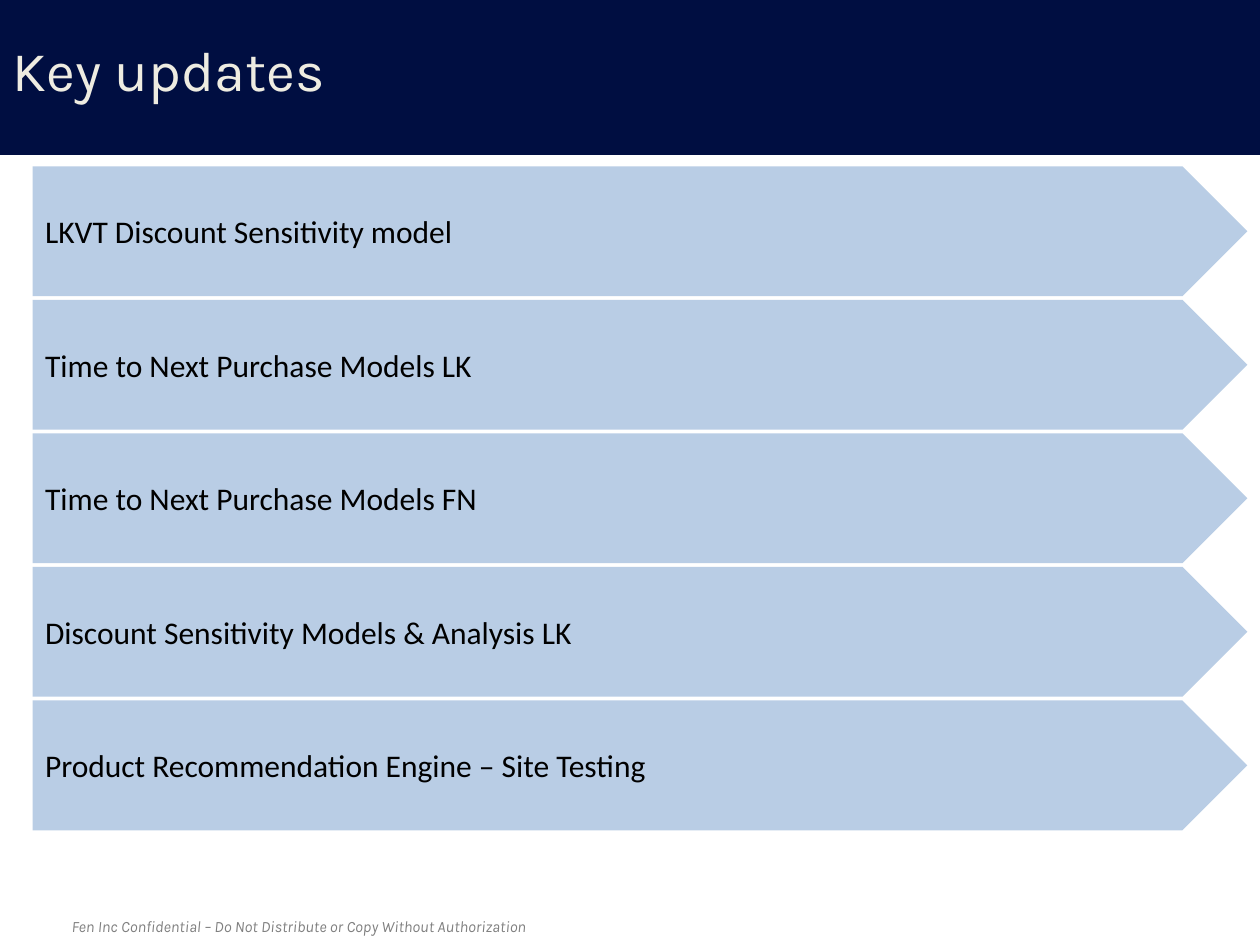
import pptx
import pptx.dml.color
import pptx.enum.shapes
import pptx.enum.text
import pptx.util

SLIDE_WIDTH, SLIDE_HEIGHT = 10, 7.5
ARROW_LEFT, ARROW_TOP, ARROW_WIDTH, ARROW_HEIGHT = 0.26, 1.32, 9.64, 1.03
ROW_PITCH = 1.06
UPDATES = [
    "LKVT Discount Sensitivity model",
    "Time to Next Purchase Models LK",
    "Time to Next Purchase Models FN",
    "Discount Sensitivity Models & Analysis LK",
    "Product Recommendation Engine – Site Testing",
]
TITLE_FORMAT = {"name": "Karla", "size": pptx.util.Pt(32)}
FOOTER_FORMAT = {"name": "Karla", "size": pptx.util.Pt(9), "italic": True}
UPDATE_FORMAT = {"name": "Calibri", "size": pptx.util.Pt(18)}


def color(hex_value):
    """Return the colour for a hex string."""
    return pptx.dml.color.RGBColor.from_string(hex_value)


def inches(*lengths):
    """Convert lengths in inches to slide units."""
    return [pptx.util.Inches(length) for length in lengths]


def write_text(shape, text, font_format, hex_value, anchor):
    """Write one left-aligned formatted paragraph into a shape."""
    frame = shape.text_frame
    frame.word_wrap = True
    frame.vertical_anchor = anchor
    paragraph = frame.paragraphs[0]
    paragraph.alignment = pptx.enum.text.PP_ALIGN.LEFT
    run = paragraph.add_run()
    run.text = text
    for attribute, value in font_format.items():
        setattr(run.font, attribute, value)
    run.font.color.rgb = color(hex_value)


def add_block(slide, kind, box, hex_value):
    """Add a flat filled shape without outline or shadow."""
    shape = slide.shapes.add_shape(kind, *inches(*box))
    shape.shadow.inherit = False
    shape.fill.solid()
    shape.fill.fore_color.rgb = color(hex_value)
    shape.line.fill.background()
    return shape


def add_label(slide, box, text, font_format, hex_value, anchor):
    """Add a text box with one formatted paragraph."""
    label = slide.shapes.add_textbox(*inches(*box))
    write_text(label, text, font_format, hex_value, anchor)


def add_update(slide, row, text):
    """Add the arrow for one update on its row."""
    box = (ARROW_LEFT, ARROW_TOP + row * ROW_PITCH, ARROW_WIDTH, ARROW_HEIGHT)
    arrow = add_block(slide, pptx.enum.shapes.MSO_SHAPE.PENTAGON, box, "B9CDE5")
    write_text(arrow, text, UPDATE_FORMAT, "000000", pptx.enum.text.MSO_ANCHOR.MIDDLE)


def main():
    """Build and save the key updates slide."""
    presentation = pptx.Presentation()
    presentation.slide_width, presentation.slide_height = inches(SLIDE_WIDTH, SLIDE_HEIGHT)
    slide = presentation.slides.add_slide(presentation.slide_layouts[6])
    anchors = pptx.enum.text.MSO_ANCHOR
    banner = (0, -0.01, SLIDE_WIDTH, 1.24)
    add_block(slide, pptx.enum.shapes.MSO_SHAPE.RECTANGLE, banner, "000E41")
    add_label(slide, (0, 0.13, 9.79, 0.83), "Key updates", TITLE_FORMAT, "EEECE1", anchors.MIDDLE)
    footer = "Fen Inc Confidential – Do Not Distribute or Copy Without Authorization"
    add_label(slide, (0.47, 7.23, 9.32, 0.25), footer, FOOTER_FORMAT, "808080", anchors.TOP)
    for row, text in enumerate(UPDATES):
        add_update(slide, row, text)
    presentation.save("out.pptx")


if __name__ == "__main__":
    main()
